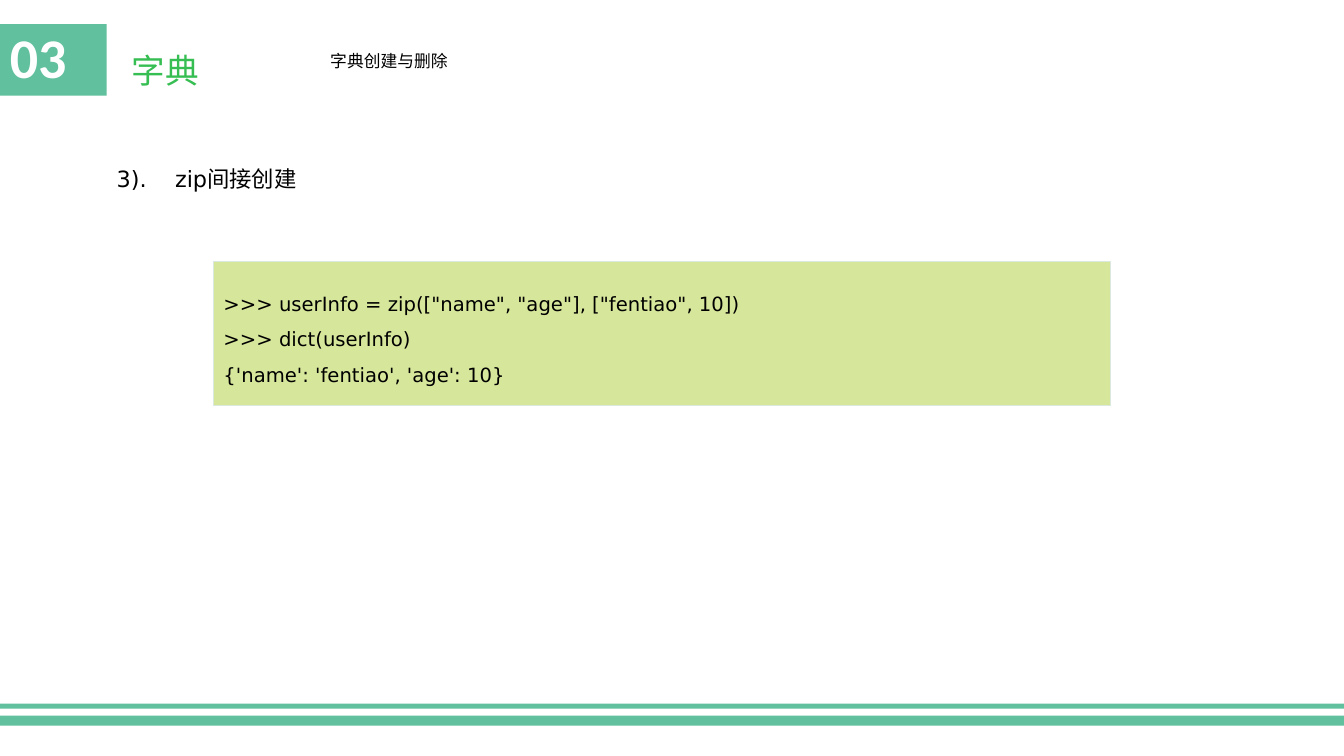
from dataclasses import dataclass

from lxml import etree
from pptx import Presentation, util as u
from pptx.dml.color import RGBColor
from pptx.enum import shapes, text
from pptx.oxml import ns

PX = 9144  # EMU per px, 100 px to the inch
TITLE_ONLY = 5
COLORS = {
    "green": "61C09E",
    "title": "36BE52",
    "code": "D6E69B",
    "code_edge": "DBE8DE",
    "white": "FFFFFF",
    "black": "000000",
}


@dataclass(frozen=True)
class Box:
    left: int
    top: int
    width: int
    height: int

    def emu(self) -> list[int]:
        return [v * PX for v in (self.left, self.top, self.width, self.height)]


@dataclass(frozen=True)
class Style:
    size: int
    font: str = "DejaVu Sans"
    color: str = "black"
    bold: bool = False
    spacing: float = 1.0
    before: int = 0
    anchor: text.MSO_ANCHOR = text.MSO_ANCHOR.TOP


@dataclass(frozen=True)
class Label:
    box: Box
    content: str
    style: Style


MIDDLE = text.MSO_ANCHOR.MIDDLE
BARS = [Box(0, 710, 1334, 10), Box(0, 698, 1334, 5)]
NUMBER = Label(Box(0, 24, 106, 71), "03",
               Style(40, "Calibri", "white", True, 0.9, 10, MIDDLE))
TITLE = Label(Box(121, 24, 704, 71), "字典",
              Style(24, "League Spartan", "title", False, 1.5, 10, MIDDLE))
STEP = Label(Box(106, 146, 1124, 50), "3).\tzip间接创建", Style(16, spacing=1.5))
SUBTITLE = Label(Box(318, 45, 567, 30), "字典创建与删除", Style(12))
CODE = Label(
    Box(212, 259, 890, 143),
    """>>> userInfo = zip(["name", "age"], ["fentiao", 10])
>>> dict(userInfo)
{'name': 'fentiao', 'age': 10}""",
    Style(14, spacing=1.5, anchor=MIDDLE),
)
STEP_TAB = 58


def rgb(name: str) -> RGBColor:
    return RGBColor.from_string(COLORS[name])


def set_attrs(obj, values: dict) -> None:
    for name, value in values.items():
        setattr(obj, name, value)


def write(sp, label: Label) -> None:
    """Fill a shape with the label's lines, one paragraph each."""
    st = label.style
    tf = sp.text_frame
    tf.text = label.content
    set_attrs(tf, {"word_wrap": True, "auto_size": text.MSO_AUTO_SIZE.NONE,
                   "vertical_anchor": st.anchor})
    for p in tf.paragraphs:
        set_attrs(p, {"alignment": text.PP_ALIGN.LEFT, "line_spacing": st.spacing,
                      "space_before": u.Pt(st.before)})
        for r in p.runs:
            set_attrs(r.font, {"size": u.Pt(st.size), "name": st.font, "bold": st.bold})
            r.font.color.rgb = rgb(st.color)


def add_rect(s, box: Box, fill: str, edge: str | None = None):
    sp = s.shapes.add_shape(shapes.MSO_SHAPE.RECTANGLE, *box.emu())
    sp.shadow.inherit = False
    sp.fill.solid()
    sp.fill.fore_color.rgb = rgb(fill)
    if edge:
        sp.line.color.rgb = rgb(edge)
        sp.line.width = u.Pt(0.75)
    else:
        sp.line.fill.background()
    return sp


def add_text(s, label: Label):
    sp = s.shapes.add_textbox(*label.box.emu())
    write(sp, label)
    return sp


def add_tab_stop(p, pos: int) -> None:
    tabs = etree.SubElement(p._p.get_or_add_pPr(), ns.qn("a:tabLst"))
    etree.SubElement(tabs, ns.qn("a:tab"), pos=str(pos * PX), algn="l")


def main() -> None:
    prs = Presentation()
    set_attrs(prs, {"slide_width": 1334 * PX, "slide_height": 750 * PX})
    s = prs.slides.add_slide(prs.slide_layouts[TITLE_ONLY])

    for bar in BARS:
        add_rect(s, bar, "green")
    write(add_rect(s, NUMBER.box, "green"), NUMBER)

    title = s.shapes.title
    set_attrs(title, dict(zip(("left", "top", "width", "height"), TITLE.box.emu())))
    write(title, TITLE)

    step = add_text(s, STEP)
    add_tab_stop(step.text_frame.paragraphs[0], STEP_TAB)
    add_text(s, SUBTITLE)
    write(add_rect(s, CODE.box, "code", "code_edge"), CODE)

    prs.save("out.pptx")


if __name__ == "__main__":
    main()
